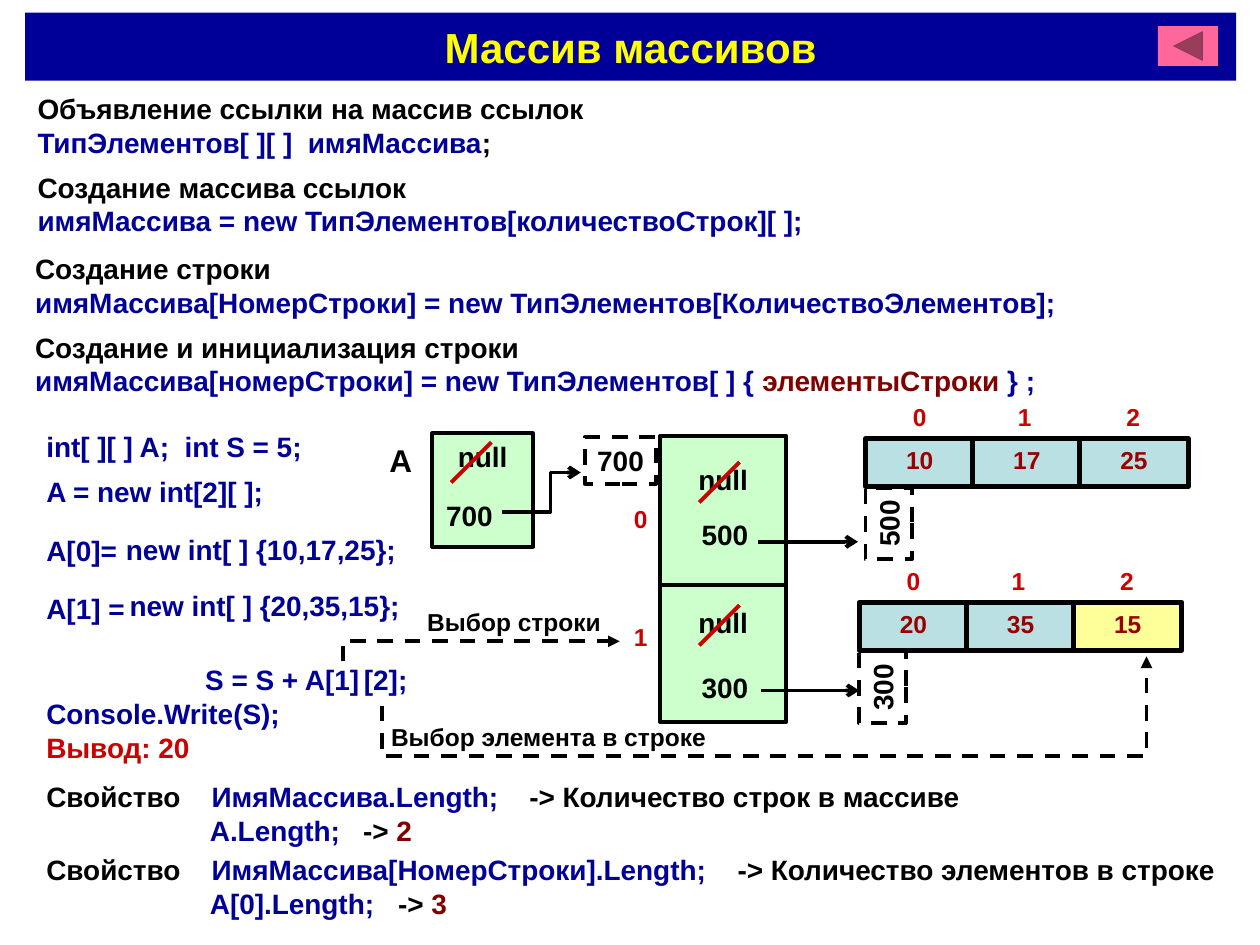
from lxml.etree import SubElement
from pptx import Presentation
from pptx.dml.color import RGBColor
from pptx.enum.dml import MSO_LINE
from pptx.enum.shapes import MSO_CONNECTOR, MSO_SHAPE
from pptx.enum.text import MSO_ANCHOR, PP_ALIGN
from pptx.oxml.ns import qn
from pptx.util import Pt

BLACK = RGBColor(0x00, 0x00, 0x00)
NAVY = RGBColor(0x00, 0x00, 0x99)
YELLOW = RGBColor(0xFF, 0xFF, 0x00)
PINK = RGBColor(0xFF, 0x66, 0x99)
RED = RGBColor(0xCC, 0x00, 0x00)
MAROON = RGBColor(0x80, 0x00, 0x00)
CRIMSON = RGBColor(0x99, 0x00, 0x00)
GREEN = RGBColor(0xCC, 0xFF, 0xCC)
BLUE = RGBColor(0xBB, 0xE0, 0xE3)
CREAM = RGBColor(0xFF, 0xFF, 0x99)

SYNTAX = [
    (14.4, 49, [[("Объявление ссылки на массив ссылок", BLACK)],
                [("ТипЭлементов[ ][ ]  имяМассива", NAVY), (";", BLACK)]]),
    (14.4, 93.8, [[("Создание массива ссылок", BLACK)],
                  [("имяМассива = new ТипЭлементов[количествоСтрок][ ];", NAVY)]]),
    (13, 140.4, [[("Создание строки", BLACK)],
                 [("имяМассива[НомерСтроки] = new ТипЭлементов[КоличествоЭлементов];", NAVY)]]),
    (13, 185.2, [[("Создание и инициализация строки", BLACK)],
                 [("имяМассива[номерСтроки] = new ТипЭлементов[ ] { ", NAVY),
                  ("элементыСтроки", MAROON), (" } ;", NAVY)]]),
]
CODE = [
    (19.4, 241.9, 163, "int[ ][ ] A;  int S = 5;"),
    (19.4, 267.8, 163, "A = new int[2][ ];"),
    (19.4, 301.4, 57, "A[0]="),
    (64.9, 300.5, 177, "new int[ ] {10,17,25};"),
    (19.4, 334.3, 68.4, "A[1] ="),
    (67, 332.6, 176.4, "new int[ ] {20,35,15};"),
    (110.2, 375.1, 114, "S = S + A[1]"),
    (200.9, 375.1, 45.4, "[2];"),
]
PROPERTIES = [
    (442.1, "ИмяМассива.Length;", 276, "Количество строк в массиве", "A.Length;", 181, "2"),
    (483.8, "ИмяМассива[НомерСтроки].Length;", 395, "Количество элементов в строке",
     "A[0].Length;", 201, "3"),
]


def write(shape, lines, size=16, align=PP_ALIGN.LEFT, stops=()):
    """Fill a shape with lines of (text, colour) runs and optional tab stops per line."""
    text_frame = shape.text_frame
    text_frame.word_wrap = align == PP_ALIGN.LEFT
    text_frame.vertical_anchor = MSO_ANCHOR.TOP
    for index, line in enumerate(lines):
        paragraph = text_frame.add_paragraph() if index else text_frame.paragraphs[0]
        paragraph.alignment = align
        if stops:
            tab_list = SubElement(paragraph._p.get_or_add_pPr(), qn("a:tabLst"))
            for stop in stops[index]:
                SubElement(tab_list, qn("a:tab"), pos=str(Pt(stop)), algn="l")
        for text, color in line:
            run = paragraph.add_run()
            run.text = text
            run.font.name = "Arial"
            run.font.size = Pt(size)
            run.font.bold = True
            run.font.color.rgb = color


def add_text(slide, left, top, width, height, lines, **style):
    """Add a text box."""
    shape = slide.shapes.add_textbox(Pt(left), Pt(top), Pt(width), Pt(height))
    write(shape, lines, **style)


def add_label(slide, left, top, width, text, color=BLACK, size=16):
    """Add a centred single-line label."""
    add_text(slide, left, top, width, 26.6, [[(text, color)]], size=size, align=PP_ALIGN.CENTER)


def add_box(slide, left, top, width, height, text, fill=None, line_width=2.25,
            color=BLACK, size=16, preset=MSO_SHAPE.RECTANGLE):
    """Add a filled preset shape, or a dashed one when no fill is given."""
    shape = slide.shapes.add_shape(preset, Pt(left), Pt(top), Pt(width), Pt(height))
    shape.shadow.inherit = False
    if line_width:
        shape.line.color.rgb = BLACK
        shape.line.width = Pt(line_width)
    else:
        shape.line.fill.background()
    if fill is None:
        shape.fill.background()
        shape.line.dash_style = MSO_LINE.DASH
    else:
        shape.fill.solid()
        shape.fill.fore_color.rgb = fill
    if text:
        write(shape, [[(text, color)]], size=size, align=PP_ALIGN.CENTER)
    return shape


def style_line(shape, color, arrow=None, dashed=False):
    """Set the stroke of a line and its arrowhead."""
    shape.line.color.rgb = color
    shape.line.width = Pt(2.25)
    if dashed:
        shape.line.dash_style = MSO_LINE.DASH
    if arrow:
        SubElement(shape.line._get_or_add_ln(), qn("a:tailEnd"), type=arrow)


def add_line(slide, start, end, color, arrow=None):
    """Add a straight connector."""
    connector = slide.shapes.add_connector(
        MSO_CONNECTOR.STRAIGHT, *(Pt(value) for value in start + end))
    style_line(connector, color, arrow)
    SubElement(connector._element.spPr, qn("a:effectLst"))


def add_route(slide, points, arrow, dashed=True):
    """Add an open bent path that ends in an arrowhead."""
    corners = [(Pt(x), Pt(y)) for x, y in points]
    builder = slide.shapes.build_freeform(*corners[0])
    builder.add_line_segments(corners[1:], close=False)
    shape = builder.convert_to_shape()
    shape.shadow.inherit = False
    shape.fill.background()
    style_line(shape, BLACK, arrow, dashed)


def add_strike(slide, left, top):
    """Cross out an old value."""
    add_line(slide, (left + 23, top), (left, top + 23), RED)


def add_row_array(slide, left, top, values, fills, address):
    """Add a row of cells with indexes above and its address below."""
    add_text(slide, left, top - 24.5, 180, 25.2, [[("\t0\t1\t2", RED)]],
             size=14, stops=[(20, 80, 142)])
    for index, (value, fill) in enumerate(zip(values, fills)):
        add_box(slide, left + index * 61.2, top, 62, 27.4, value, fill, 3, CRIMSON, 14)
    add_box(slide, left - 7.2, top + 35.2, 41, 26.6, address).rotation = 270


def add_reference(slide, top, height, inset, index, index_top, address, address_top):
    """Add one cell of the array of references."""
    cell = add_box(slide, 377.3, top, 72, height, "null", GREEN)
    cell.text_frame.margin_top = Pt(inset)
    add_strike(slide, 399.6, top + inset)
    add_label(slide, 393.8, address_top, 41, address)
    add_label(slide, 355, index_top, 22.3, index, RED, 14)


def add_property(slide, top, name, name_stop, meaning, example, example_stop, result):
    """Add the description of a property with an example."""
    lines = [
        [("Свойство", BLACK), (f"\t{name}", NAVY), (f"\t-> {meaning}", BLACK)],
        [(f"\t{example}", NAVY), ("\t-> ", BLACK), (result, MAROON)],
    ]
    add_text(slide, 19.4, top, 692, 46, lines, stops=[(94.5, name_stop), (93.5, example_stop)])


def add_memory_diagram(slide):
    """Draw the variable, the references and the rows they point to."""
    add_row_array(slide, 494.6, 250.6, ("10", "17", "25"), (BLUE, BLUE, BLUE), "500")
    add_row_array(slide, 491, 344.2, ("20", "35", "15"), (BLUE, BLUE, CREAM), "300")
    add_reference(slide, 249.1, 85, 15, "0", 284.4, "500", 292.3)
    add_reference(slide, 334.1, 78.5, 11.7, "1", 352.1, "300", 379.4)
    add_line(slide, (433.4, 309.6), (490.3, 309.6), BLACK, "arrow")
    add_line(slide, (434.9, 394.6), (491, 394.6), BLACK, "arrow")
    add_box(slide, 334.1, 249.8, 41, 26.6, "700")
    add_box(slide, 247, 247.7, 57.6, 64.8, "null", GREEN)
    add_strike(slide, 257.8, 252.7)
    add_label(slide, 247.7, 281.5, 41, "700")
    add_label(slide, 215.3, 248.4, 27.4, "A", size=18)
    add_route(slide, [(286.6, 292.3), (314.6, 292.3), (314.6, 270), (331.9, 270)], "arrow", False)
    add_label(slide, 236.9, 343.4, 113.8, "Выбор строки", size=14)
    add_route(slide, [(195.8, 378), (195.8, 366.5), (354.2, 366.5)], "triangle")
    add_label(slide, 216, 409, 195, "Выбор элемента в строке", size=14)
    add_route(slide, [(218.2, 403.2), (218.2, 432), (655.2, 432), (655.2, 375.1)], "triangle")


def main():
    """Build the slide and save it."""
    presentation = Presentation()
    presentation.slide_width, presentation.slide_height = Pt(720), Pt(540)
    slide = presentation.slides.add_slide(presentation.slide_layouts[6])
    title = add_box(slide, 14.4, 7.2, 692, 38.9, "Массив массивов", NAVY, 0, YELLOW, 24)
    title.text_frame.vertical_anchor = MSO_ANCHOR.MIDDLE
    add_box(slide, 661.7, 15, 34.2, 22.6, "", PINK, 0,
            preset=MSO_SHAPE.ACTION_BUTTON_BACK_OR_PREVIOUS)
    for left, top, lines in SYNTAX:
        add_text(slide, left, top, 687, 46, lines)
    for left, top, width, text in CODE:
        add_text(slide, left, top, width, 26.6, [[(text, NAVY)]])
    add_text(slide, 19.4, 394.6, 164, 46,
             [[("Console.Write(S);", NAVY)], [("Вывод: 20", RED)]])
    add_memory_diagram(slide)
    for details in PROPERTIES:
        add_property(slide, *details)
    presentation.save("out.pptx")


if __name__ == "__main__":
    main()
